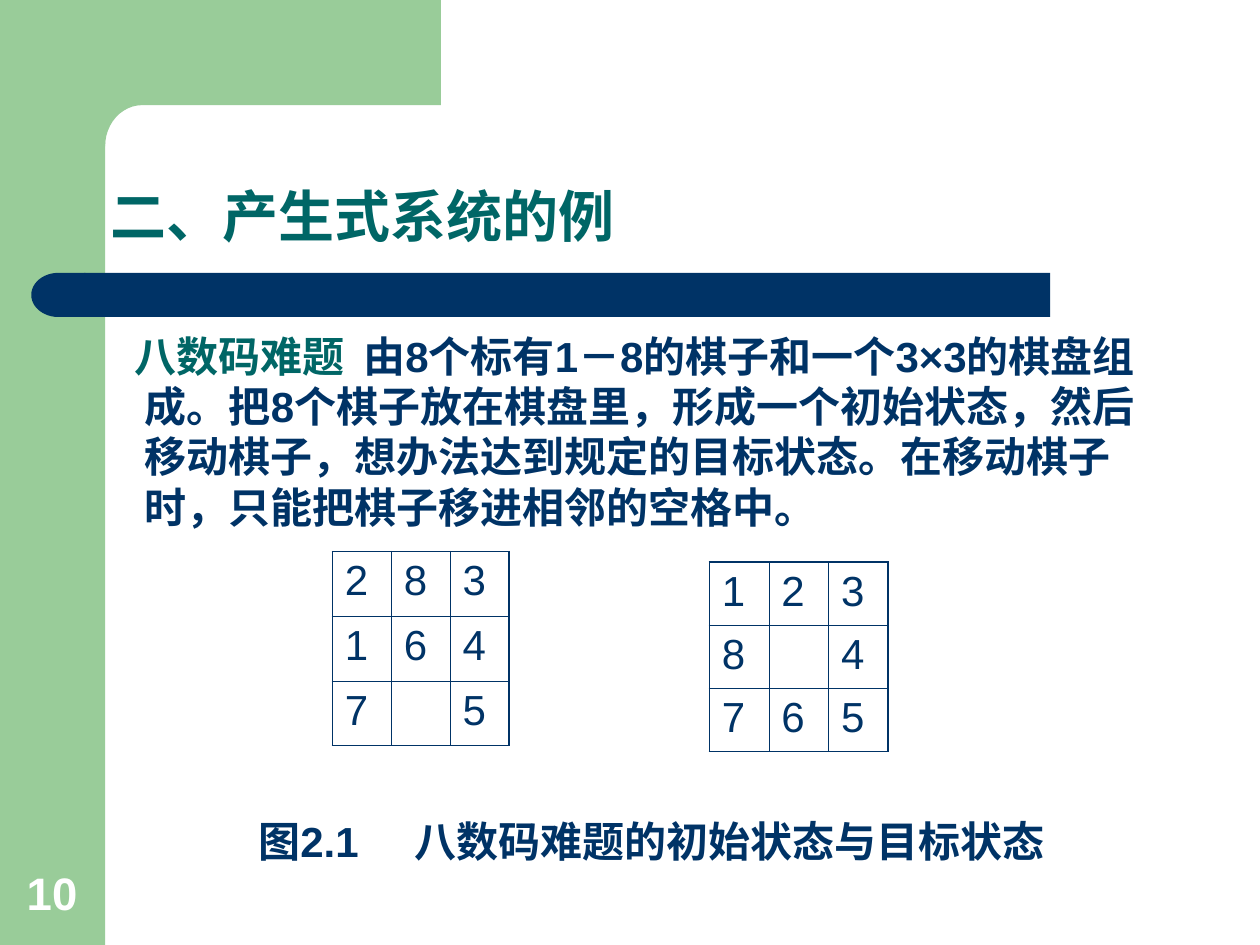
from math import cos, pi, sin

from lxml.etree import SubElement as Sub
from pptx import Presentation
from pptx.dml.color import RGBColor
from pptx.enum.shapes import MSO_SHAPE as Kind
from pptx.enum.text import MSO_ANCHOR as Anchor, PP_ALIGN as Align
from pptx.oxml.ns import qn
from pptx.util import Cm, Pt

GREEN = RGBColor(0x99, 0xCC, 0x99)
NAVY = RGBColor(0x00, 0x33, 0x66)
TEAL = RGBColor(0x00, 0x66, 0x66)
WHITE = RGBColor(0xFF, 0xFF, 0xFF)

TITLE = "二、产生式系统的例"
BODY = [
    ("八数码难题  ", TEAL),
    ("由8个标有1－8的棋子和一个3×3的棋盘组成。"
     "把8个棋子放在棋盘里，形成一个初始状态，"
     "然后移动棋子，想办法达到规定的目标状态。"
     "在移动棋子时，只能把棋子移进相邻的空格中。", NAVY),
]
CAPTION = "图2.1\t八数码难题的初始状态与目标状态"
NUMBER = "10"
BOARDS = [
    ((6.7, 11.12, 3.56, 3.91), ["283", "164", "7 5"]),
    ((14.3, 11.33, 3.6, 3.82), ["123", "8 4", "765"]),
]
BARS = [
    (Kind.RECTANGLE, (0, 0, 2.12, 19.05), GREEN, 0),
    (Kind.RECTANGLE, (1.7, 5.5, 19.47, 0.89), NAVY, 0),
    (Kind.FLOWCHART_DELAY, (0.63, 5.5, 1.09, 0.89), NAVY, 180),
]
THICK, THIN = Pt(1.08), Pt(0.45)


def place(shape, box):
    shape.left, shape.top, shape.width, shape.height = map(Cm, box)


def paint(shape, color):
    shape.shadow.inherit = False
    shape.fill.solid()
    shape.fill.fore_color.rgb = color
    shape.line.fill.background()


def write(para, text, size, color, bold=True):
    run = para.add_run()
    run.text = text
    font = run.font
    font.name, font.size, font.bold = "Arial", Pt(size), bold
    font.color.rgb = color


def add_text(box, anchor=Anchor.TOP):
    shape = slide.shapes.add_textbox(*map(Cm, box))
    frame = shape.text_frame
    frame.word_wrap = True
    frame.vertical_anchor = anchor
    return frame.paragraphs[0]


def add_corner():
    side, end, low, base = 1.27, 8.89, 2.12, 2.95
    wide, high, steps = 0.75, 0.83, 12
    arc = [(low + wide * (1 - sin(a)), base - high * cos(a))
           for a in (pi / 2 * i / steps for i in range(steps + 1))]
    dots = [(end, 0), (end, low), *arc, (side, base), (side, 0)]
    dots = [(Cm(x), Cm(y)) for x, y in dots]
    build = slide.shapes.build_freeform(*dots[0], scale=1.0)
    build.add_line_segments(dots[1:], close=True)
    paint(build.convert_to_shape(), GREEN)


def set_edges(cell, row, col, last):
    outer = {"L": col == 0, "R": col == last, "T": row == 0, "B": row == last}
    props = cell._tc.get_or_add_tcPr()
    for i, (side, edge) in enumerate(outer.items()):
        line = props.makeelement(qn(f"a:ln{side}"), w=str(THICK if edge else THIN))
        fill = Sub(line, qn("a:solidFill"))
        Sub(fill, qn("a:srgbClr"), val=str(NAVY))
        props.insert(i, line)


def add_board(box, rows):
    count = len(rows)
    table = slide.shapes.add_table(count, count, *map(Cm, box)).table
    table.first_row = table.horz_banding = False
    for r, row in enumerate(rows):
        table.rows[r].height = Cm(box[3] / count)
        table.columns[r].width = Cm(box[2] / count)
        for c, tile in enumerate(row):
            cell = table.cell(r, c)
            cell.fill.background()
            set_edges(cell, r, c, count - 1)
            if tile.strip():
                write(cell.text_frame.paragraphs[0], tile, 24, NAVY, False)


prs = Presentation()
prs.slide_width, prs.slide_height = Cm(25.4), Cm(19.05)
slide = prs.slides.add_slide(prs.slide_layouts[5])

for kind, box, color, turn in BARS:
    bar = slide.shapes.add_shape(kind, *map(Cm, box))
    bar.rotation = turn
    paint(bar, color)
add_corner()

title = slide.shapes.title
place(title, (1.98, 4.01, 20.45, 1.14))
title.text_frame.vertical_anchor = Anchor.BOTTOM
head = title.text_frame.paragraphs[0]
head.alignment, head.line_spacing = Align.LEFT, 0.9
write(head, TITLE, 32, TEAL)

body = add_text((1.72, 6.53, 21.79, 4.5))
props = body._p.get_or_add_pPr()
props.set("marL", str(Cm(0.95)))
props.set("indent", str(Cm(-0.21)))
props.set("hangingPunct", "0")
for text, color in BODY:
    write(body, text, 24, color)

for box, rows in BOARDS:
    add_board(box, rows)

note = add_text((4.96, 16.32, 17.5, 1.25))
stops = Sub(note._p.get_or_add_pPr(), qn("a:tabLst"))
Sub(stops, qn("a:tab"), pos=str(Cm(3.15)), algn="l")
write(note, CAPTION, 24, NAVY)
write(add_text((0.29, 17.32, 1.63, 1.35), Anchor.BOTTOM), NUMBER, 26, WHITE)

prs.save("out.pptx")
